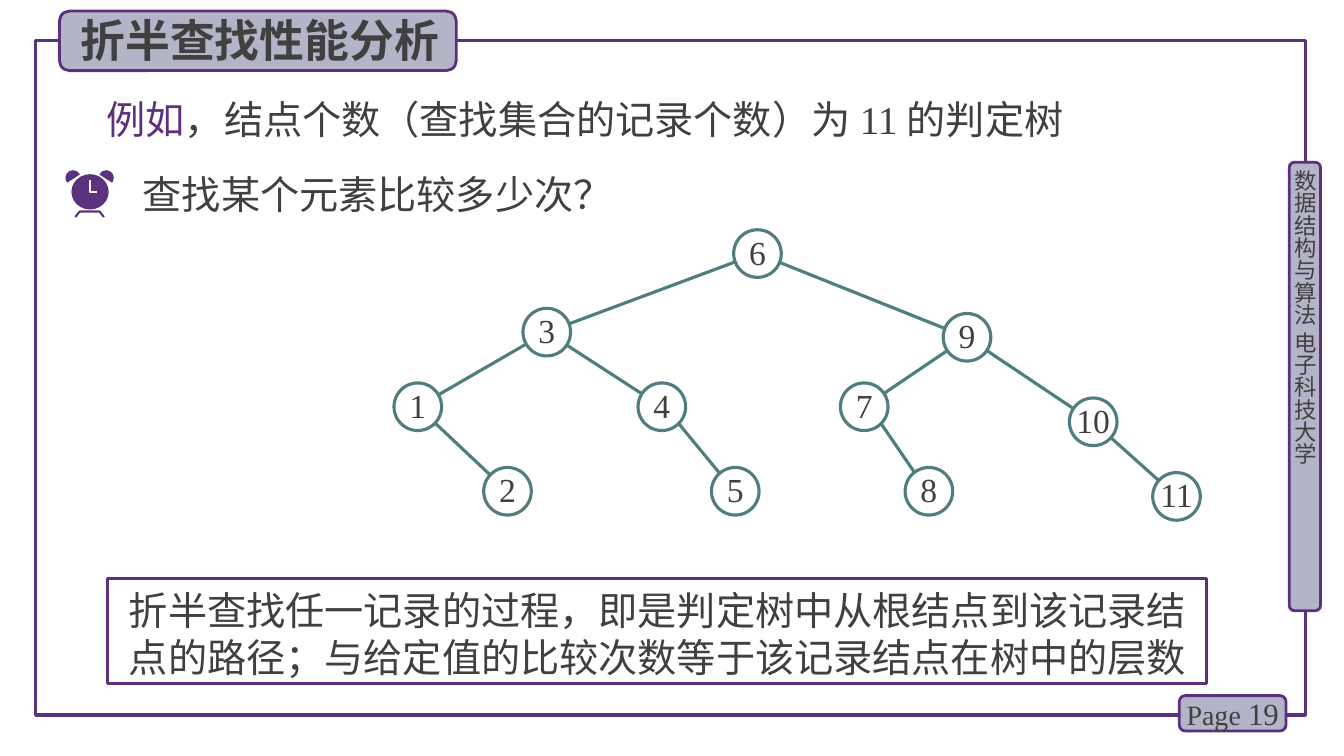
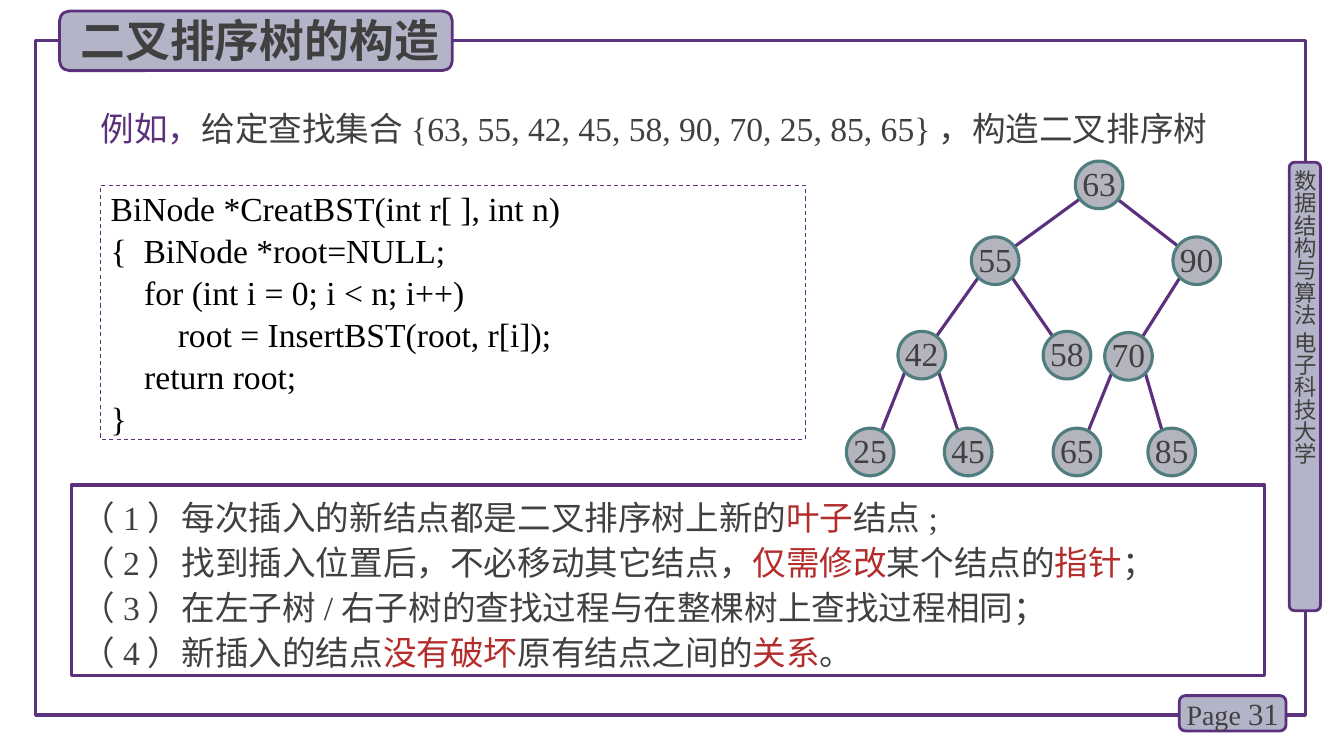
from dataclasses import dataclass
from math import atan2, copysign, cos, hypot, pi, sin
from typing import NamedTuple, Optional

from lxml.etree import SubElement
from pptx import Presentation
from pptx.dml.color import RGBColor
from pptx.enum.dml import MSO_LINE
from pptx.enum.shapes import MSO_CONNECTOR, MSO_SHAPE
from pptx.enum.text import MSO_ANCHOR, MSO_AUTO_SIZE, PP_ALIGN
from pptx.oxml.ns import qn
from pptx.util import Cm, Pt

COLORS = {
    "frame": "5A327D",
    "purple": "5C307D",
    "badge": "B4B4C8",
    "teal": "507D7D",
    "node": "B4B4BE",
    "text": "404040",
    "red": "B42D2D",
    "code": "000000",
    "white": "FFFFFF",
}
SERIF = "Times New Roman"
SANS = "Noto Sans CJK SC"
NODE_SIZE = 1.2


class Box(NamedTuple):
    left: float
    top: float
    width: float
    height: float


class Span(NamedTuple):
    text: str
    color: str = "text"
    size: Optional[float] = None


class Node(NamedTuple):
    key: int
    x: float
    y: float
    parent: Optional[int] = None


@dataclass(frozen=True)
class TextStyle:
    size: float
    font: str = SERIF
    bold: bool = False
    align: PP_ALIGN = PP_ALIGN.LEFT
    anchor: MSO_ANCHOR = MSO_ANCHOR.MIDDLE
    leading: object = None
    margins: tuple = (0.25, 0.13, 0.25, 0.13)
    wrap: bool = True


@dataclass(frozen=True)
class TreeStyle:
    edge: str
    fill: Optional[str] = None


TITLE = TextStyle(32, SANS, bold=True)
NO_MARGINS = (0, 0, 0, 0)
BADGE = TextStyle(20, align=PP_ALIGN.CENTER, margins=NO_MARGINS, wrap=False)
COURSE = TextStyle(16, SANS, margins=(0, 0.15, 0, 0))
NODE = TextStyle(24, align=PP_ALIGN.CENTER, leading=Pt(26),
                 margins=NO_MARGINS, wrap=False)
CODE = TextStyle(24, leading=1.04)
BODY_MARGINS = (0.25, 0.2, 0.25, 0.1)
CONCLUSION = TextStyle(28, align=PP_ALIGN.CENTER, anchor=MSO_ANCHOR.TOP,
                       leading=Pt(33.6), margins=BODY_MARGINS)
NOTES = TextStyle(24, anchor=MSO_ANCHOR.TOP, leading=Pt(32), margins=BODY_MARGINS)


def rgb(color: str) -> RGBColor:
    return RGBColor.from_string(COLORS[color])


def paint(shape, fill: Optional[str] = None, line: Optional[str] = None,
          width: float = 2.25) -> None:
    if fill:
        shape.fill.solid()
        shape.fill.fore_color.rgb = rgb(fill)
    else:
        shape.fill.background()
    if line:
        shape.line.color.rgb = rgb(line)
        shape.line.width = Pt(width)
    else:
        shape.line.fill.background()


def write(shape, rows: list, style: TextStyle) -> None:
    """Fill a shape with paragraphs, each given as a list of spans."""
    frame = shape.text_frame
    frame.auto_size = MSO_AUTO_SIZE.NONE
    frame.word_wrap = style.wrap
    frame.vertical_anchor = style.anchor
    (frame.margin_left, frame.margin_top,
     frame.margin_right, frame.margin_bottom) = map(Cm, style.margins)
    for index, spans in enumerate(rows):
        paragraph = frame.add_paragraph() if index else frame.paragraphs[0]
        paragraph.alignment = style.align
        paragraph.space_before = Pt(0)
        if style.leading:
            paragraph.line_spacing = style.leading
        for span in spans:
            run = paragraph.add_run()
            run.text = span.text
            run.font.size = Pt(span.size or style.size)
            run.font.bold = style.bold
            run.font.color.rgb = rgb(span.color)
            run.font.name = style.font
            east_asian = SubElement(run.font._element, qn("a:ea"))
            east_asian.set("typeface", SANS)


def add_box(slide, preset: MSO_SHAPE, box: Box, fill: Optional[str] = None,
            line: Optional[str] = None, width: float = 2.25):
    shape = slide.shapes.add_shape(preset, *map(Cm, box))
    shape.shadow.inherit = False
    paint(shape, fill, line, width)
    return shape


def add_text(slide, box: Box, spans: list, style: TextStyle) -> None:
    write(slide.shapes.add_textbox(*map(Cm, box)), [spans], style)


def place(placeholder, box: Box) -> None:
    (placeholder.left, placeholder.top,
     placeholder.width, placeholder.height) = map(Cm, box)


def add_framed_slide(deck, title: str, badge_width: float, page: int):
    """Add a slide with the border, title badge, course strip and page badge."""
    slide = deck.slides.add_slide(deck.slide_layouts[1])
    add_box(slide, MSO_SHAPE.RECTANGLE, Box(0.9, 1.02, 32, 17), line="frame")

    def badge(box: Box):
        return add_box(slide, MSO_SHAPE.ROUNDED_RECTANGLE, box, "badge", "purple", 2)

    course = badge(Box(32.49, 4.09, 0.79, 11.3))
    write(course, [[Span("数据结构与算法 电子科技大学")]], COURSE)
    course.element.find(".//" + qn("a:bodyPr")).set("vert", "eaVert")
    write(badge(Box(29.72, 17.53, 2.69, 0.89)),
          [[Span("Page "), Span(str(page), size=22)]], BADGE)

    badge(Box(1.5, 0.28, badge_width, 1.5))
    heading = slide.shapes.title
    place(heading, Box(1.78, 0.18, 9.98, 1.63))
    write(heading, [[Span(title)]], TITLE)
    slide.shapes.element.append(heading.element)
    return slide


def fill_body(slide, box: Box, rows: list, style: TextStyle) -> None:
    """Turn the body placeholder into an outlined box without bullets."""
    body = slide.placeholders[1]
    place(body, box)
    paint(body, line="purple")
    write(body, rows, style)
    for paragraph in body.text_frame.paragraphs:
        properties = paragraph._p.get_or_add_pPr()
        properties.set("marL", "0")
        properties.set("indent", "0")
        SubElement(properties, qn("a:buNone"))


def add_edge(slide, parent: Node, child: Node, color: str) -> None:
    """Leave the parent at 45 degrees at most and meet the child on the centre line."""
    radius = NODE_SIZE / 2
    dx, dy = child.x - parent.x, child.y - parent.y
    angle = min(atan2(dy, abs(dx)), pi / 4)
    length = hypot(dx, dy)
    edge = slide.shapes.add_connector(
        MSO_CONNECTOR.STRAIGHT,
        Cm(parent.x + copysign(radius * cos(angle), dx)),
        Cm(parent.y + radius * sin(angle)),
        Cm(child.x - radius * dx / length),
        Cm(child.y - radius * dy / length),
    )
    edge.line.color.rgb = rgb(color)
    edge.line.width = Pt(2.25)
    SubElement(edge.element.spPr, qn("a:effectLst"))


def add_tree(slide, nodes: list, style: TreeStyle) -> None:
    by_key = {node.key: node for node in nodes}
    for node in nodes:
        if node.parent is not None:
            add_edge(slide, by_key[node.parent], node, style.edge)
    for node in nodes:
        box = Box(node.x - NODE_SIZE / 2, node.y - NODE_SIZE / 2, NODE_SIZE, NODE_SIZE)
        circle = add_box(slide, MSO_SHAPE.OVAL, box, style.fill, "teal")
        write(circle, [[Span(str(node.key))]], NODE)


def add_polyline(slide, points: list, color: str, width: float) -> None:
    start, *rest = [(Cm(x), Cm(y)) for x, y in points]
    builder = slide.shapes.build_freeform(*start)
    builder.add_line_segments(rest, close=False)
    outline = builder.convert_to_shape()
    outline.shadow.inherit = False
    paint(outline, line=color, width=width)


def add_alarm_clock(slide) -> None:
    for left, start, end in ((1.65, 139, 335), (2.49, 205, 41)):
        bell = add_box(slide, MSO_SHAPE.CHORD, Box(left, 4.29, 0.38, 0.38), "frame")
        bell.adjustments[0] = start * 0.6
        bell.adjustments[1] = end * 0.6
    add_box(slide, MSO_SHAPE.OVAL, Box(1.8, 4.39, 0.94, 0.89), "frame")
    add_polyline(slide, [(2.27, 4.53), (2.27, 4.84), (2.44, 4.84)], "white", 2)
    add_polyline(slide, [(1.9, 5.47), (2.01, 5.33), (2.51, 5.33), (2.62, 5.47)],
                 "frame", 1.5)


def build_search_slide(deck) -> None:
    slide = add_framed_slide(deck, "折半查找性能分析", 10, 19)
    question = TextStyle(28)
    add_text(slide, Box(2.44, 2.26, 28.55, 1.45),
             [Span("例如", "purple"),
              Span("，结点个数（查找集合的记录个数）为11的判定树")], question)
    add_alarm_clock(slide)
    add_text(slide, Box(3.35, 4.17, 13.69, 1.45),
             [Span("查找某个元素比较多少次？")], question)
    add_tree(slide, [
        Node(6, 19.09, 6.39),
        Node(3, 13.78, 8.37, 6),
        Node(9, 24.37, 8.5, 6),
        Node(1, 10.53, 10.25, 3),
        Node(4, 16.68, 10.25, 3),
        Node(7, 21.78, 10.25, 9),
        Node(10, 27.55, 10.63, 9),
        Node(2, 12.79, 12.38, 1),
        Node(5, 18.53, 12.38, 4),
        Node(8, 23.41, 12.38, 7),
        Node(11, 29.65, 12.51, 10),
    ], TreeStyle("teal"))
    fill_body(slide, Box(2.72, 14.58, 27.69, 2.64), [[Span(
        "折半查找任一记录的过程，即是判定树中从根结点到该记录结点的路径；"
        "与给定值的比较次数等于该记录结点在树中的层数")]], CONCLUSION)


def build_sort_tree_slide(deck) -> None:
    slide = add_framed_slide(deck, "二叉排序树的构造", 9.9, 31)
    add_text(slide, Box(2.29, 2.59, 29.11, 1.27),
             [Span("例如，", "purple"),
              Span("给定查找集合{63, 55, 42, 45, 58, 90, 70, 25, 85, 65}，构造二叉排序树")],
             TextStyle(24))
    listing = add_box(slide, MSO_SHAPE.RECTANGLE, Box(2.54, 4.67, 17.75, 6.4),
                      line="purple", width=0.75)
    listing.line.dash_style = MSO_LINE.DASH
    code_lines = [
        "BiNode *CreatBST(int r[ ], int n)",
        "{  BiNode *root=NULL;",
        "    for (int i = 0; i < n; i++)",
        "        root = InsertBST(root, r[i]);",
        "    return root;",
        "}",
    ]
    write(listing, [[Span(line, "code")] for line in code_lines], CODE)
    add_tree(slide, [
        Node(63, 27.7, 4.66),
        Node(55, 25.08, 6.57, 63),
        Node(90, 30.16, 6.57, 63),
        Node(42, 23.23, 8.95, 55),
        Node(58, 26.89, 8.95, 55),
        Node(70, 28.44, 8.98, 90),
        Node(25, 21.93, 11.39, 42),
        Node(45, 24.4, 11.39, 42),
        Node(65, 27.14, 11.39, 70),
        Node(85, 29.53, 11.39, 70),
    ], TreeStyle("purple", "node"))
    fill_body(slide, Box(1.8, 12.22, 30.07, 4.8), [
        [Span("（1）每次插入的新结点都是二叉排序树上新的"), Span("叶子", "red"), Span("结点;")],
        [Span("（2）找到插入位置后，不必移动其它结点，"), Span("仅需修改", "red"),
         Span("某个结点的"), Span("指针", "red"), Span("；")],
        [Span("（3）在左子树/右子树的查找过程与在整棵树上查找过程相同；")],
        [Span("（4）新插入的结点"), Span("没有破坏", "red"), Span("原有结点之间的"),
         Span("关系", "red"), Span("。")],
    ], NOTES)


def main() -> None:
    deck = Presentation()
    deck.slide_width, deck.slide_height = Cm(33.87), Cm(19.05)
    build_search_slide(deck)
    build_sort_tree_slide(deck)
    deck.save("out.pptx")


if __name__ == "__main__":
    main()
